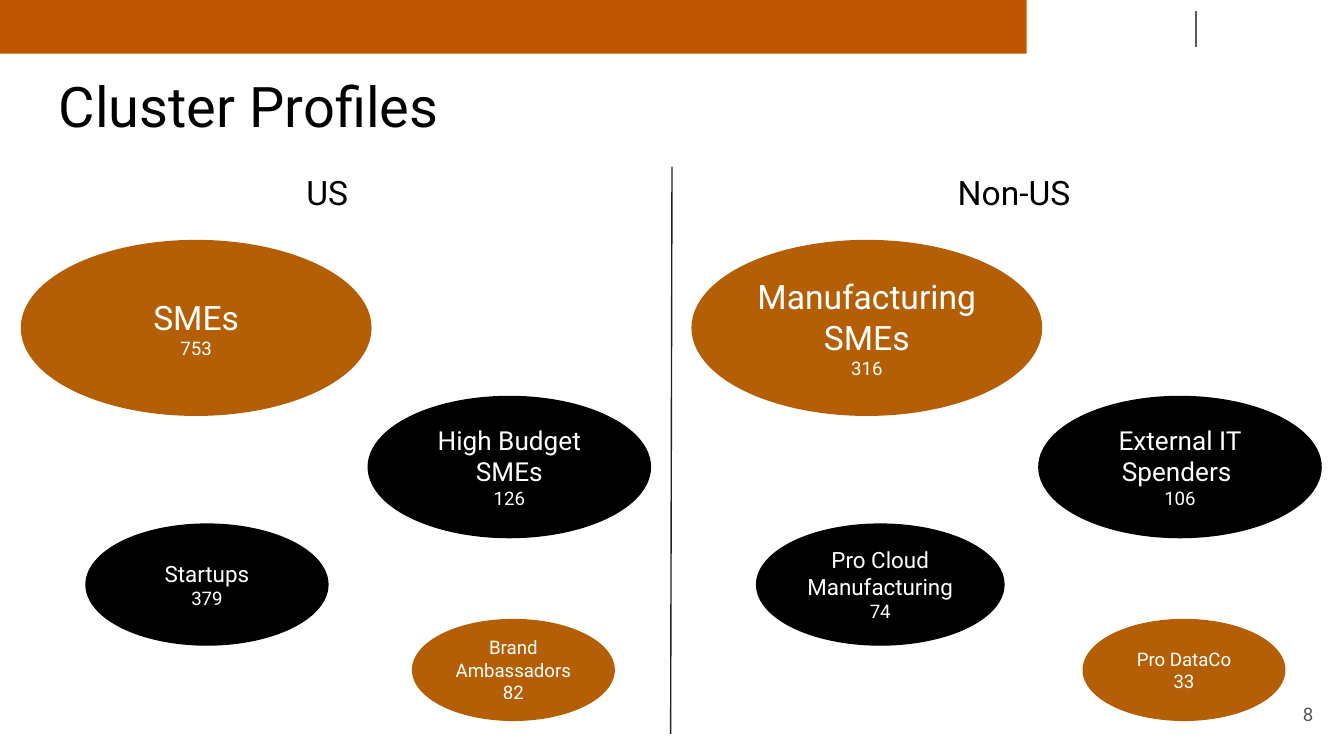
"""Builds the Cluster Profiles slide comparing US and Non-US customer clusters."""
from lxml import etree
from pptx import Presentation
from pptx.dml.color import RGBColor
from pptx.enum.shapes import MSO_CONNECTOR, MSO_SHAPE
from pptx.enum.text import MSO_ANCHOR, PP_ALIGN
from pptx.oxml.ns import qn
from pptx.util import Inches, Pt

RECT, OVAL = MSO_SHAPE.RECTANGLE, MSO_SHAPE.OVAL
STRAIGHT = MSO_CONNECTOR.STRAIGHT
TOP, MIDDLE = MSO_ANCHOR.TOP, MSO_ANCHOR.MIDDLE
LEFT, CENTER, RIGHT = PP_ALIGN.LEFT, PP_ALIGN.CENTER, PP_ALIGN.RIGHT

FONT = "Roboto"
BLACK, WHITE, GRAY, ORANGE = "000000", "FFFFFF", "595959", "B45F06"
COLUMN_STEP = 4.99


def rgb(color):
    return RGBColor.from_string(color)


def write(sp, lines, color, align=CENTER, anchor=MIDDLE):
    tf = sp.text_frame
    tf.word_wrap = True
    tf.vertical_anchor = anchor
    tf.margin_left = tf.margin_right = tf.margin_top = tf.margin_bottom = Inches(0.1)
    tf.text = "\n".join(text for text, size in lines)
    for p, (text, size) in zip(tf.paragraphs, lines):
        p.alignment = align
        font = p.runs[0].font
        font.name, font.size, font.color.rgb = FONT, Pt(size), rgb(color)


prs = Presentation()
prs.slide_width = Inches(10)
prs.slide_height = Inches(10) * 9 // 16
s = prs.slides.add_slide(prs.slide_layouts[6])

banner = s.shapes.add_shape(RECT, 0, 0, Inches(7.64), Inches(0.4))
banner.shadow.inherit = False
banner.fill.solid()
banner.fill.fore_color.rgb = rgb("BF5700")
banner.line.fill.background()

labels = [
    ("Cluster Profiles", 30, BLACK, LEFT, TOP, (0.34, 0.43, 9.32, 0.8)),
    ("US", 18, BLACK, CENTER, MIDDLE, (1.89, 1.24, 1.09, 0.38)),
    ("Non-US", 18, BLACK, CENTER, MIDDLE, (7, 1.24, 1.09, 0.38)),
    ("8", 10, GRAY, RIGHT, MIDDLE, (9.27, 5.1, 0.6, 0.43)),
]
for text, size, color, align, anchor, box in labels:
    sp = s.shapes.add_textbox(*map(Inches, box))
    write(sp, [(text, size)], color, align, anchor)

lines = [((8.9, 0.35, 8.9, 0.08), GRAY), ((5, 1.24, 4.99, 5.46), "212121")]
for ends, color in lines:
    line = s.shapes.add_connector(STRAIGHT, *map(Inches, ends))
    line.line.color.rgb = rgb(color)
    line.line.width = Pt(0.75)
    etree.SubElement(line._element.spPr, qn("a:effectLst"))

tiers = [
    (0.16, 1.79, 1.3, ORANGE, 18, [("SMEs", 753, 2.6), ("Manufacturing SMEs", 316, 2.6)]),
    (2.74, 2.95, 1.05, BLACK, 14, [("High Budget SMEs", 126, 2.1), ("External IT Spenders ", 106, 2.1)]),
    (0.64, 3.9, 0.9, BLACK, 12, [("Startups", 379, 1.8), ("Pro Cloud Manufacturing", 74, 1.84)]),
    (3.07, 4.61, 0.75, ORANGE, 10, [("Brand Ambassadors", 82, 1.5), ("Pro DataCo", 33, 1.5)]),
]
for x, y, height, color, size, clusters in tiers:
    for column, (name, count, width) in enumerate(clusters):
        box = (x + column * COLUMN_STEP, y, width, height)
        sp = s.shapes.add_shape(OVAL, *map(Inches, box))
        sp.shadow.inherit = False
        sp.fill.solid()
        sp.fill.fore_color.rgb = rgb(color)
        sp.line.color.rgb = rgb(color)
        sp.line.width = Pt(0.75)
        write(sp, [(name, size), (str(count), 10)], WHITE)

prs.save("out.pptx")
